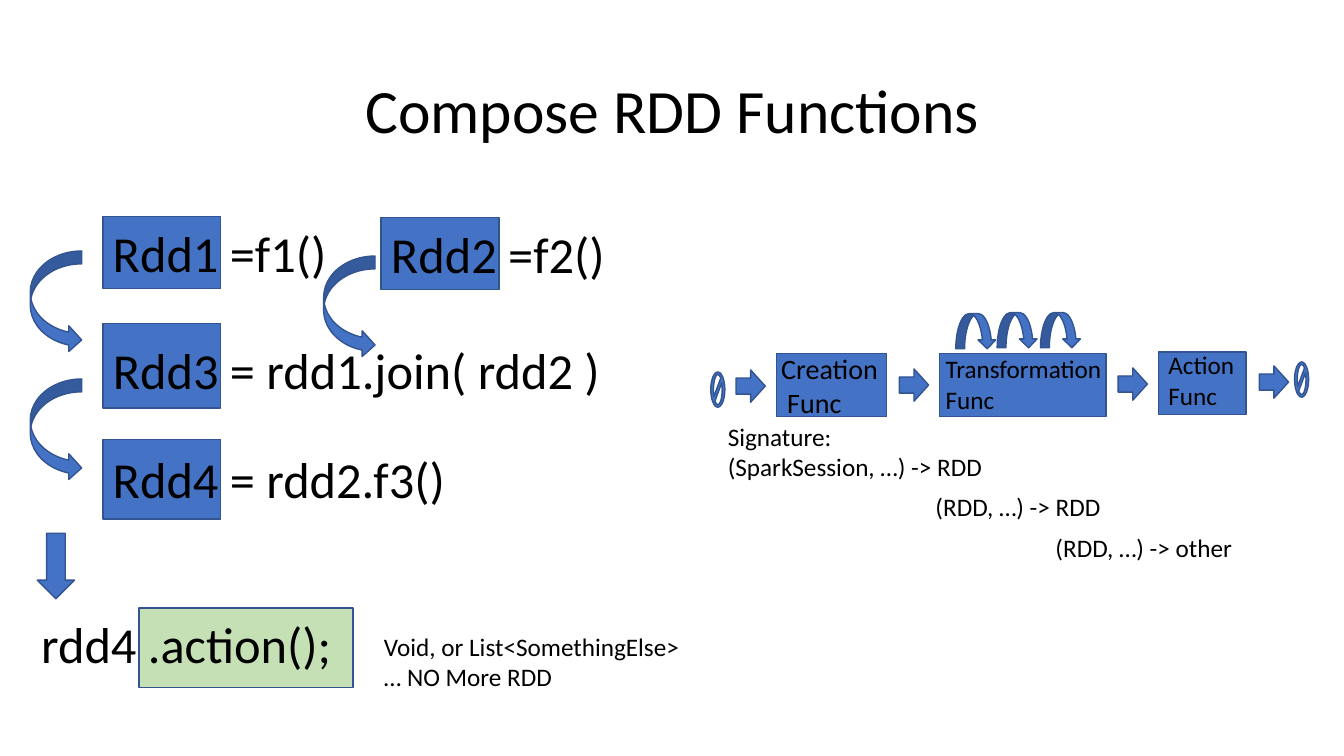
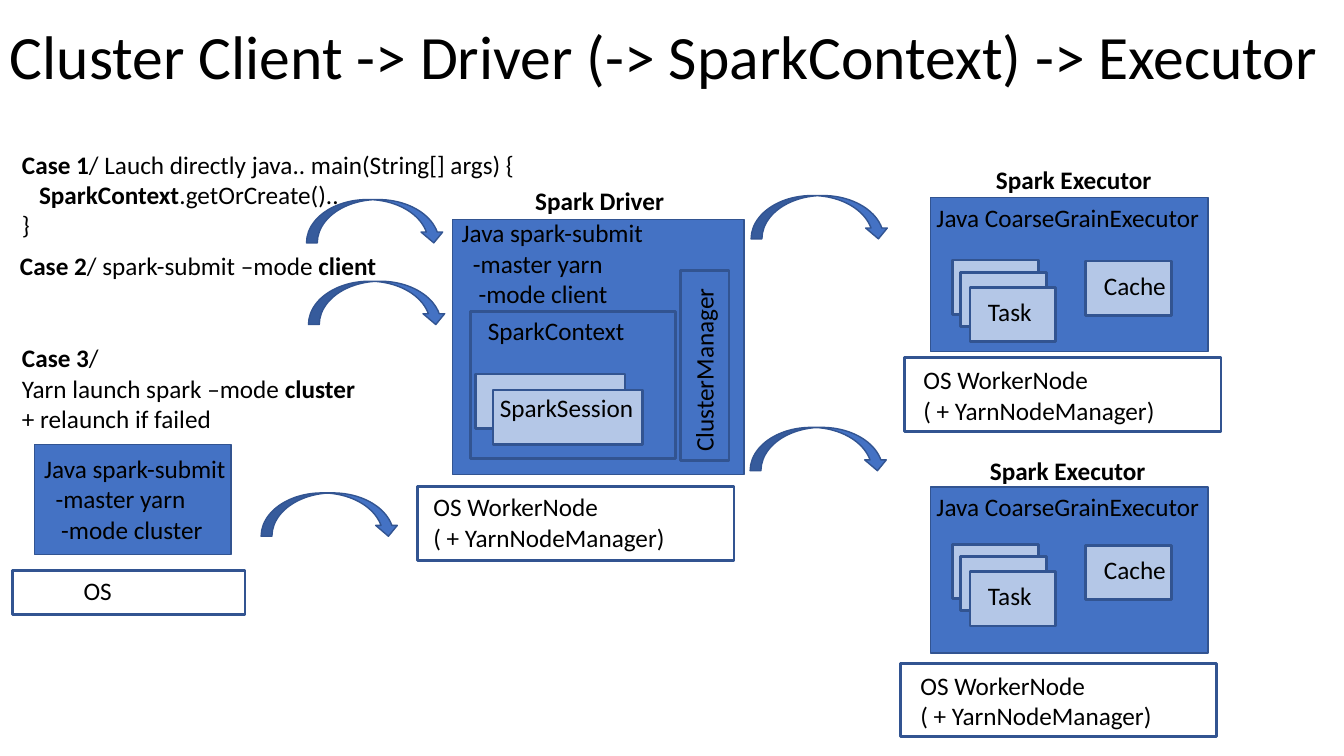
"""Build two slides about composing RDD functions and the Spark cluster architecture."""
from pptx import Presentation
from pptx.dml.color import RGBColor
from pptx.enum.shapes import MSO_SHAPE
from pptx.enum.text import MSO_ANCHOR, MSO_AUTO_SIZE, PP_ALIGN
from pptx.util import Inches, Pt

RECT = MSO_SHAPE.RECTANGLE
ARROW_RIGHT = MSO_SHAPE.RIGHT_ARROW
ARROW_DOWN = MSO_SHAPE.DOWN_ARROW
CURVE_RIGHT = MSO_SHAPE.CURVED_RIGHT_ARROW
CURVE_DOWN = MSO_SHAPE.CURVED_DOWN_ARROW
EMPTY_SET = MSO_SHAPE.NO_SYMBOL
MIDDLE = MSO_ANCHOR.MIDDLE
FIXED, GROW = MSO_AUTO_SIZE.NONE, MSO_AUTO_SIZE.SHAPE_TO_FIT_TEXT
LEFT, CENTER = PP_ALIGN.LEFT, PP_ALIGN.CENTER

FONT = "Calibri"
BLACK, BLUE, NAVY = "000000", "4472C4", "325491"
PALE_BLUE, GREEN = "B4C7E7", "C5E0B4"
WORKER_NODE = "OS WorkerNode\n( + YarnNodeManager)"


def add_shape(page, kind, left, top, width, height, fill=BLUE, weight=1):
    """Add an outlined preset shape; a fill of None leaves it empty."""
    shape = page.shapes.add_shape(kind, Inches(left), Inches(top), Inches(width), Inches(height))
    shape.shadow.inherit = False
    if fill:
        shape.fill.solid()
        shape.fill.fore_color.rgb = RGBColor.from_string(fill)
    else:
        shape.fill.background()
    shape.line.color.rgb = RGBColor.from_string(NAVY)
    shape.line.width = Pt(weight)
    return shape


def add_text(page, left, top, width, text, size=18, wrap=False):
    """Add a text box with one paragraph per line; asterisks enclose bold runs."""
    lines = text.split("\n")
    height = 0.1 + len(lines) * size / 60
    box = page.shapes.add_textbox(Inches(left), Inches(top), Inches(width), Inches(height))
    frame = box.text_frame
    frame.word_wrap = wrap
    frame.auto_size = GROW
    for index, line in enumerate(lines):
        para = frame.paragraphs[0] if index == 0 else frame.add_paragraph()
        for position, part in enumerate(line.split("*")):
            if part:
                span = para.add_run()
                span.text = part
                span.font.name = FONT
                span.font.size = Pt(size)
                span.font.bold = position % 2 == 1
                span.font.color.rgb = RGBColor.from_string(BLACK)
    return box


deck = Presentation()
deck.slide_width, deck.slide_height = Inches(13.33), Inches(7.5)
pages = []
for title, left, top, width, align in [
    ("Compose RDD Functions", 0.92, 0.4, 11.5, CENTER),
    ("Cluster Client -> Driver (-> SparkContext) -> Executor", 0, -0.13, 13.33, LEFT),
]:
    page = deck.slides.add_slide(deck.slide_layouts[6])
    box = add_text(page, left, top, width, title, 44, True)
    box.text_frame.auto_size = FIXED
    box.text_frame.vertical_anchor = MIDDLE
    box.height = Inches(1.45)
    box.text_frame.paragraphs[0].alignment = align
    box.text_frame.paragraphs[0].line_spacing = 0.9
    pages.append(page)
functions, cluster = pages

for left, top, height, text_top, width, code in [
    (1.02, 2.15, 0.71, 2.15, 2.34, "Rdd1 =f1()"),
    (3.78, 2.16, 0.71, 2.16, 2.34, "Rdd2 =f2()"),
    (1.02, 3.21, 0.84, 3.32, 5.08, "Rdd3 = rdd1.join( rdd2 )"),
    (1.02, 4.36, 0.79, 4.4, 3.53, "Rdd4 = rdd2.f3()"),
]:
    add_shape(functions, RECT, left, top, 1.17, height)
    add_text(functions, left, text_top, width, code, 36)
add_shape(functions, RECT, 1.38, 6.03, 2.12, 0.79, GREEN)
add_text(functions, 0.31, 6.03, 3.11, "rdd4 .action();", 36)
add_text(functions, 3.71, 6.21, 3.22, "Void, or List<SomethingElse>\n… NO More RDD")
for left, top in [(0.3, 2.49), (0.3, 3.76), (3.21, 2.54)]:
    add_shape(functions, CURVE_RIGHT, left, top, 0.51, 1.01)
add_shape(functions, ARROW_DOWN, 0.37, 5.29, 0.37, 0.65)

for left, top, width in [(7.7, 3.51, 1.09), (9.32, 3.51, 1.65), (11.49, 3.49, 0.87)]:
    add_shape(functions, RECT, left, top, width, 0.62)
creation = add_text(functions, 7.65, 3.44, 1.17, "Creation\nFunc", 20)
creation.text_frame.paragraphs[1]._p.get_or_add_pPr().set("marL", str(Inches(0.06)))
add_text(functions, 9.28, 3.46, 1.8, "Transformation\nFunc", wrap=True)
add_text(functions, 11.49, 3.42, 0.92, "Action\nFunc")
for left, top, width, signature in [
    (7.12, 4.13, 2.77, "Signature:\n(SparkSession, …) -> RDD"),
    (9.18, 4.83, 1.88, "(RDD, …) -> RDD"),
    (10.37, 5.23, 1.99, "(RDD, …) -> other"),
]:
    add_text(functions, left, top, width, signature)
for left, top in [(7.05, 3.69), (12.84, 3.59)]:
    empty_set = add_shape(functions, EMPTY_SET, left, top, 0.14, 0.35)
    empty_set._element.spPr.xfrm.set("flipH", "1")
for left, top in [(7.3, 3.67), (8.92, 3.66), (11.09, 3.65), (12.49, 3.63)]:
    add_shape(functions, ARROW_RIGHT, left, top, 0.29, 0.32)
for left, top in [(9.48, 3.11), (9.89, 3.1), (10.32, 3.1)]:
    add_shape(functions, CURVE_DOWN, left, top, 0.4, 0.35)

add_shape(cluster, RECT, 0.12, 5.66, 2.31, 0.44, None, 2)
add_text(cluster, 0.73, 5.66, 0.48, "OS")
add_shape(cluster, RECT, 0.34, 4.41, 1.95, 1.09)
add_shape(cluster, RECT, 4.49, 2.18, 2.89, 2.53)
for left, top, mode in [(0.34, 4.45, "cluster"), (4.48, 2.11, "client")]:
    add_text(cluster, left, top, 2.03, f"Java spark-submit\n  -master yarn\n   -mode {mode}")

add_text(cluster, 5.21, 1.79, 1.49, "*Spark Driver*")
add_shape(cluster, RECT, 4.67, 3.09, 2.03, 1.46, None, 2)
add_text(cluster, 4.74, 3.08, 1.57, "SparkContext")
for left, top in [(4.72, 3.71), (4.89, 3.87)]:
    add_shape(cluster, RECT, left, top, 1.48, 0.54, PALE_BLUE, 2)
add_text(cluster, 4.86, 3.84, 1.54, "SparkSession")
add_shape(cluster, RECT, 6.75, 2.68, 0.48, 1.89, None, 2)
manager = add_text(cluster, 6.06, 3.46, 1.84, "ClusterManager")
manager.rotation = 270

for left, top, text_left, text_top in [
    (4.14, 4.83, 4.2, 4.83),
    (8.97, 3.55, 9.06, 3.57),
    (8.93, 6.58, 9.03, 6.6),
]:
    add_shape(cluster, RECT, left, top, 3.14, 0.73, None, 2)
    add_text(cluster, text_left, text_top, 2.78, WORKER_NODE, wrap=True)

for heading_left, heading_top, top, height, task_top in [
    (9.78, 1.58, 1.96, 1.53, 2.58),
    (9.72, 4.47, 4.83, 1.65, 5.4),
]:
    add_text(cluster, heading_left, heading_top, 1.76, "*Spark Executor*")
    add_shape(cluster, RECT, 9.23, top, 2.75, height)
    add_text(cluster, 9.19, top, 2.83, "Java CoarseGrainExecutor")
    for left, drop in [(9.45, 0), (9.53, 0.12), (9.62, 0.27), (10.77, 0.01)]:
        add_shape(cluster, RECT, left, task_top + drop, 0.85, 0.54, PALE_BLUE, 2)
    add_text(cluster, 9.7, task_top + 0.31, 0.64, "Task")
    add_text(cluster, 10.85, task_top + 0.05, 0.82, "Cache")

for left, top, width, text in [
    (0.12, 1.43, 5.56, "*Case 1*/ Lauch directly java.. main(String[] args) {\n"
                       "   *SparkContext*.getOrCreate()..\n}"),
    (0.1, 2.43, 5.56, "*Case 2*/ spark-submit –mode *client*"),
    (0.12, 3.35, 3.54, "*Case 3*/\nYarn launch spark –mode *cluster*\n+ relaunch if failed"),
]:
    add_text(cluster, left, top, width, text, wrap=True)
for left, top in [(3.04, 1.98), (3.06, 2.79), (2.59, 4.89), (7.45, 1.94), (7.44, 4.24)]:
    add_shape(cluster, CURVE_DOWN, left, top, 1.37, 0.43)

deck.save("out.pptx")
